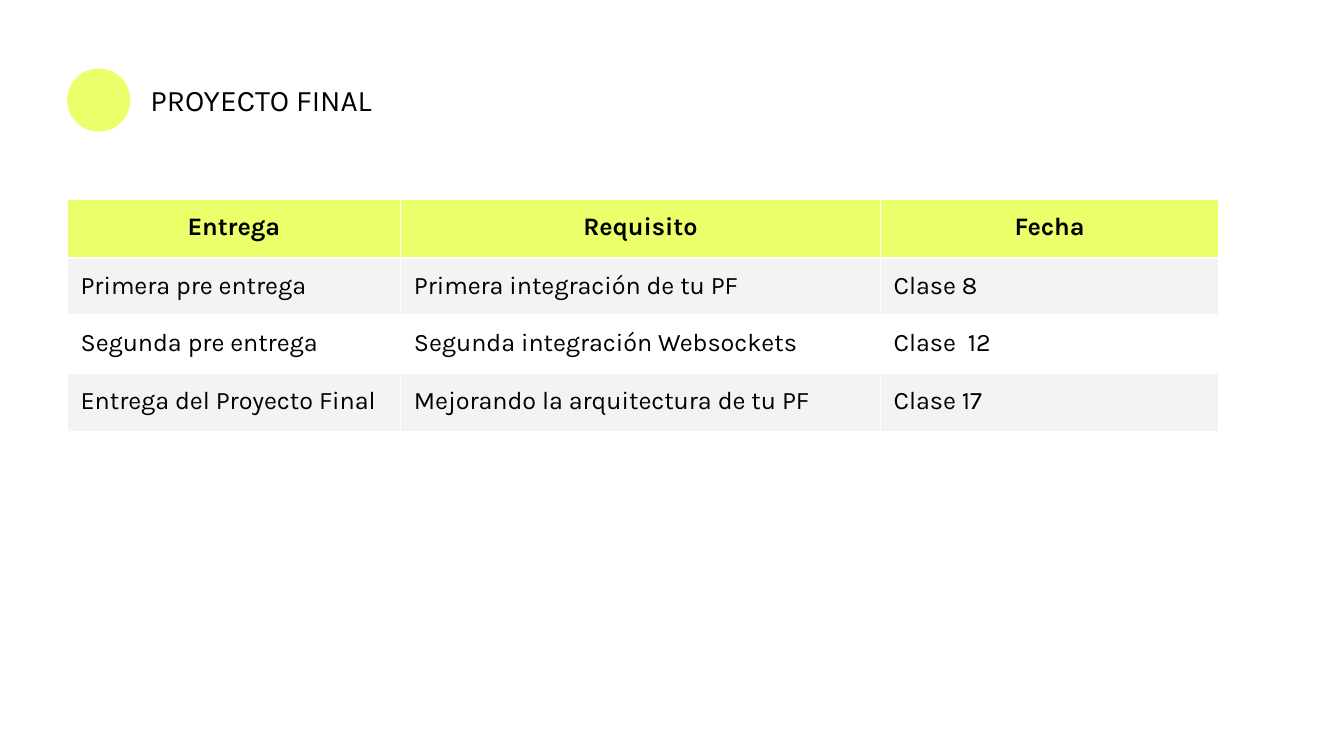
from dataclasses import dataclass

from lxml.etree import SubElement
from pptx import Presentation
from pptx.dml.color import RGBColor
from pptx.enum.shapes import MSO_SHAPE as Shape
from pptx.enum.text import MSO_AUTO_SIZE as AutoSize, PP_ALIGN as Align
from pptx.oxml.ns import qn
from pptx.util import Pt

LIME, GREY, WHITE, BLACK = "EAFF6A", "F3F3F3", "FFFFFF", "000000"
FONT = "Karla"
INSET = 7.2
LEFT = 36
BORDER_WIDTH = 0.75
COLUMN_WIDTHS = (178.56, 257.04, 181.44)


@dataclass(frozen=True)
class Row:
    texts: tuple[str, str, str]
    height: float
    fill: str
    header: bool = False


ROWS = (
    Row(("Entrega", "Requisito", "Fecha"), 31.4, LIME, True),
    Row(("Primera pre entrega", "Primera integración de tu PF", "Clase 8"), 30.6, GREY),
    Row(("Segunda pre entrega", "Segunda integración Websockets", "Clase  12"), 31.2, WHITE),
    Row(("Entrega del Proyecto Final", "Mejorando la arquitectura de tu PF", "Clase 17"), 31, GREY),
)


def color(value: str) -> RGBColor:
    return RGBColor.from_string(value)


def set_insets(target) -> None:
    target.margin_left = target.margin_right = Pt(INSET)
    target.margin_top = target.margin_bottom = Pt(INSET)


def write(para, text: str, size: float, bold: bool = False) -> None:
    para.text = text
    para.font.name = FONT
    para.font.size = Pt(size)
    para.font.bold = bold
    para.font.color.rgb = color(BLACK)


def add_borders(cell) -> None:
    properties = cell._tc.get_or_add_tcPr()
    for side in ("lnL", "lnR", "lnT", "lnB"):
        line = SubElement(properties, qn(f"a:{side}"), w=str(Pt(BORDER_WIDTH)))
        fill = SubElement(line, qn("a:solidFill"))
        SubElement(fill, qn("a:srgbClr"), val=WHITE)


def add_heading(page) -> None:
    box = page.shapes.add_textbox(Pt(73.44), Pt(36.72), Pt(193.68), Pt(33.84))
    frame = box.text_frame
    frame.word_wrap = True
    frame.auto_size = AutoSize.SHAPE_TO_FIT_TEXT
    set_insets(frame)
    write(frame.paragraphs[0], "PROYECTO FINAL", 16)

    dot = page.shapes.add_shape(Shape.OVAL, Pt(LEFT), Pt(36.72), Pt(33.84), Pt(33.84))
    dot.shadow.inherit = False
    dot.fill.solid()
    dot.fill.fore_color.rgb = color(LIME)
    dot.line.fill.background()


def fill_row(table, index: int, row: Row) -> None:
    table.rows[index].height = Pt(row.height)
    for column, text in enumerate(row.texts):
        cell = table.cell(index, column)
        set_insets(cell)
        add_borders(cell)
        cell.fill.solid()
        cell.fill.fore_color.rgb = color(row.fill)
        para = cell.text_frame.paragraphs[0]
        para.alignment = Align.CENTER if row.header else Align.LEFT
        write(para, text, 13.5, row.header)


def add_schedule(page, rows: tuple[Row, ...]) -> None:
    width = sum(COLUMN_WIDTHS)
    height = sum(row.height for row in rows)
    table = page.shapes.add_table(
        len(rows), len(COLUMN_WIDTHS), Pt(LEFT), Pt(106.8), Pt(width), Pt(height)
    ).table
    for column, column_width in zip(table.columns, COLUMN_WIDTHS):
        column.width = Pt(column_width)
    for index, row in enumerate(rows):
        fill_row(table, index, row)


def main() -> None:
    deck = Presentation()
    deck.slide_width, deck.slide_height = Pt(720), Pt(405)
    page = deck.slides.add_slide(deck.slide_layouts[6])
    page.background.fill.solid()
    page.background.fill.fore_color.rgb = color(WHITE)
    add_heading(page)
    add_schedule(page, ROWS)
    deck.save("out.pptx")


if __name__ == "__main__":
    main()
